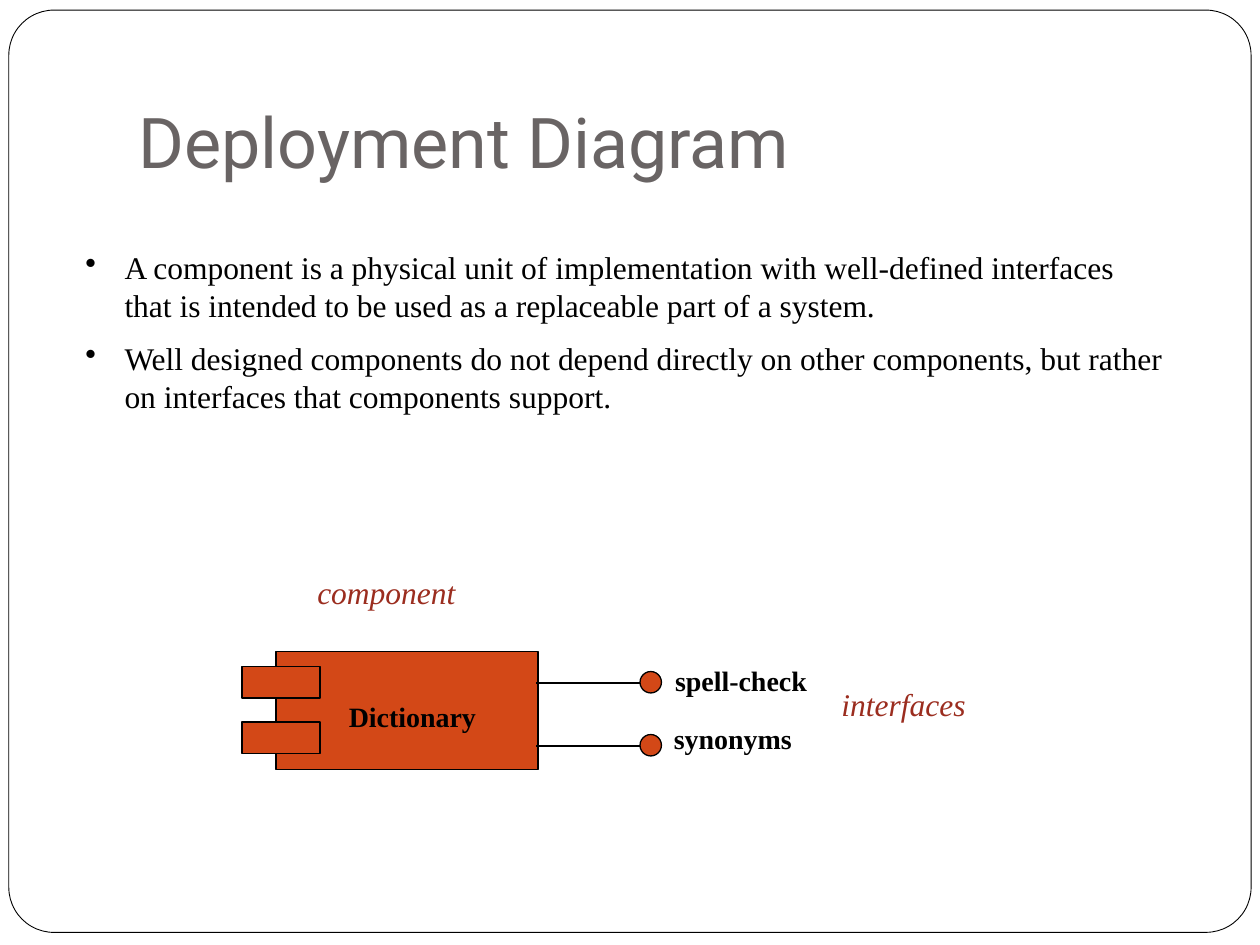
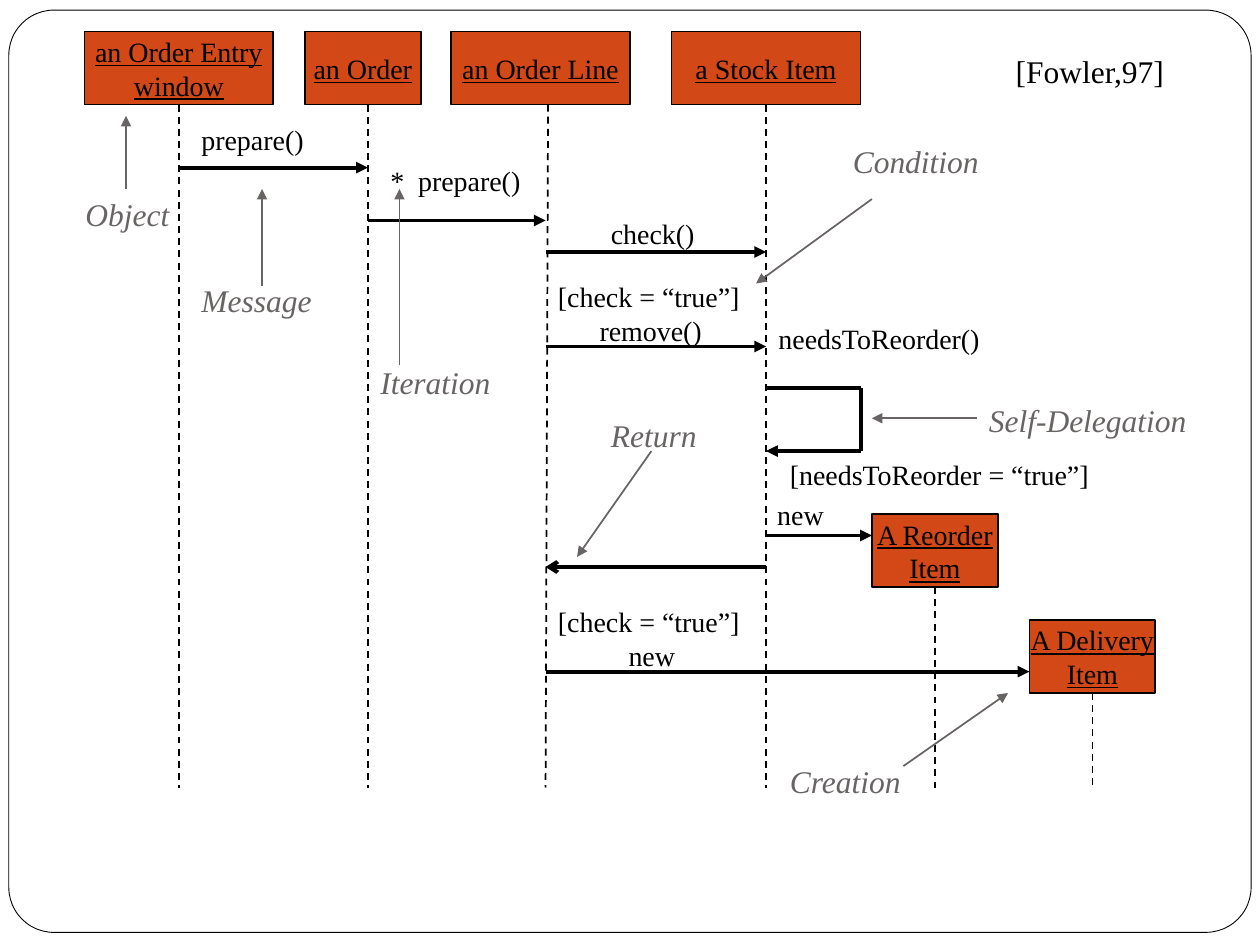
from lxml.etree import SubElement
from pptx import Presentation
from pptx.dml.color import RGBColor
from pptx.enum.dml import MSO_LINE
from pptx.enum.shapes import MSO_CONNECTOR, MSO_SHAPE
from pptx.enum.text import MSO_ANCHOR, MSO_AUTO_SIZE, PP_ALIGN
from pptx.oxml.ns import qn
from pptx.util import Inches, Pt

BLACK, GREY, ORANGE, RED = "000000", "696464", "D34817", "9B2D1F"
SERIF = "Times New Roman"
color = RGBColor.from_string


def add_box(page, kind, left, top, width, height, fill=ORANGE, weight=0.75):
    box = page.shapes.add_shape(kind, Inches(left), Inches(top), Inches(width), Inches(height))
    box.shadow.inherit = False
    if fill:
        box.fill.solid()
        box.fill.fore_color.rgb = color(fill)
    else:
        box.fill.background()
    box.line.color.rgb = color(BLACK)
    box.line.width = Pt(weight)
    return box


def add_line(page, x1, y1, x2, y2, weight, ink=BLACK, head=None):
    line = page.shapes.add_connector(
        MSO_CONNECTOR.STRAIGHT, Inches(x1), Inches(y1), Inches(x2), Inches(y2))
    line.line.color.rgb = color(ink)
    line.line.width = Pt(weight)
    if head:
        SubElement(line.line._get_or_add_ln(), qn("a:tailEnd"), type=head)
    SubElement(line._element.spPr, qn("a:effectLst"))
    return line


deck = Presentation()
deck.slide_width, deck.slide_height = Inches(10), Inches(7.5)
component_page = deck.slides.add_slide(deck.slide_layouts[5])
sequence_page = deck.slides.add_slide(deck.slide_layouts[6])

# Rounded frame on every slide
for page in deck.slides:
    frame = add_box(page, MSO_SHAPE.ROUNDED_RECTANGLE, 0.07, 0.08, 9.86, 7.32, None, 0.5)
    frame.adjustments[0] = 0.049

# Component slide: title
title = component_page.shapes.title
title.left, title.top, title.width, title.height = (
    Inches(1), Inches(0.3), Inches(8.5), Inches(1.25))
title.text_frame.text = "Deployment Diagram"
title.text_frame.auto_size = MSO_AUTO_SIZE.NONE
title.text_frame.vertical_anchor = MSO_ANCHOR.BOTTOM
title.text_frame.margin_bottom = Inches(0.1)
heading = title.text_frame.paragraphs[0]
heading.alignment = PP_ALIGN.LEFT
heading.font.name = "Roboto"
heading.font.size = Pt(40)
heading.font.color.rgb = color(GREY)

# Component slide: bullets
body = component_page.shapes.add_textbox(Inches(0.58), Inches(1.92), Inches(8.75), Inches(1.46))
body.text_frame.word_wrap = True
body.text_frame.text = (
    "A component is a physical unit of implementation with well-defined interfaces "
    "that is intended to be used as a replaceable part of a system.\n"
    "Well designed components do not depend directly on other components, "
    "but rather on interfaces that components support.")
for number, para in enumerate(body.text_frame.paragraphs):
    para.space_before = Pt(9 if number else 0)
    settings = para._p.get_or_add_pPr()
    settings.set("marL", str(Inches(0.31)))
    settings.set("indent", str(-Inches(0.31)))
    SubElement(settings, qn("a:buChar"), char="•")
    para.font.name = SERIF
    para.font.size = Pt(18)
    para.font.color.rgb = color(BLACK)

# Component slide: component with its tabs and interfaces
add_box(component_page, MSO_SHAPE.RECTANGLE, 2.19, 5.17, 2.08, 0.94)
for tab_top in (5.29, 5.73):
    add_box(component_page, MSO_SHAPE.RECTANGLE, 1.92, tab_top, 0.62, 0.25)
for interface_y in (5.42, 5.92):
    add_box(component_page, MSO_SHAPE.OVAL, 5.08, interface_y - 0.09, 0.17, 0.17)
    add_line(component_page, 5.08, interface_y, 4.25, interface_y, 0.75)

# Sequence slide: objects with their lifelines (x at top, x at bottom)
objects = [
    ("an Order Entry\nwindow", 0.67, 0.25, 1.5, 1.42, 1.42),
    ("an Order", 2.42, 0.25, 0.92, 2.92, 2.92),
    ("an Order Line", 3.58, 0.25, 1.42, 4.35, 4.33),
    ("a Stock Item", 5.33, 0.25, 1.5, 6.08, 6.08),
    ("A Reorder\nItem", 6.92, 4.08, 1, 7.42, 7.42),
    ("A Delivery\nItem", 8.17, 4.92, 1, 8.67, 8.67),
]
for name, left, top, width, life_top, life_bottom in objects:
    box = add_box(sequence_page, MSO_SHAPE.RECTANGLE, left, top, width, 0.58, weight=1)
    box.text_frame.word_wrap = False
    box.text_frame.vertical_anchor = MSO_ANCHOR.MIDDLE
    box.text_frame.text = name
    for para in box.text_frame.paragraphs:
        para.alignment = PP_ALIGN.CENTER
        para.font.name = SERIF
        para.font.size = Pt(16)
        para.font.underline = True
        para.font.color.rgb = color(BLACK)
    lifeline = add_line(sequence_page, life_top, top + 0.58, life_bottom, 6.25, 1)
    lifeline.line.dash_style = MSO_LINE.DASH
    if abs(left + width / 2 - life_top) < 0.01:
        lifeline.begin_connect(box, 2)

# Sequence slide: messages
for x1, y1, x2, y2, head in [
    (1.42, 1.33, 2.92, 1.33, "triangle"),
    (2.92, 1.75, 4.33, 1.75, "triangle"),
    (4.33, 2, 6.08, 2, "triangle"),
    (4.33, 2.75, 6.08, 2.75, "triangle"),
    (6.08, 3.08, 6.83, 3.08, None),
    (6.83, 3.08, 6.83, 3.58, None),
    (6.83, 3.58, 6.08, 3.58, "triangle"),
    (6.08, 4.25, 6.92, 4.25, "triangle"),
    (6.08, 4.5, 4.33, 4.5, "arrow"),
    (4.33, 5.33, 8.17, 5.33, "triangle"),
]:
    add_line(sequence_page, x1, y1, x2, y2, 2.25, head=head)

# Sequence slide: pointers from the notes
for x1, y1, x2, y2 in [
    (1, 1.5, 1, 0.92),
    (2.08, 2.27, 2.08, 1.5),
    (3.17, 2.9, 3.17, 1.5),
    (5.17, 3.58, 4.58, 4.42),
    (7.17, 6.08, 8, 5.5),
    (6.92, 1.58, 6, 2.25),
    (7.75, 3.32, 6.92, 3.32),
]:
    add_line(sequence_page, x1, y1, x2, y2, 1, GREY, "triangle")

# Labels of both slides, by style: page, size, colour, bold, italic, wrap, labels
label_styles = [
    (component_page, 16, BLACK, True, False, True, [
        ("spell-check", 5.26, 5.22, 2.17, 0.37),
        ("Dictionary", 2.67, 5.5, 1.42, 0.37),
        ("synonyms", 5.25, 5.68, 2.17, 0.37)]),
    (component_page, 18, RED, False, True, True, [
        ("component", 2.42, 4.5, 2.33, 0.5),
        ("interfaces", 6.58, 5.39, 1.58, 0.5)]),
    (sequence_page, 16, BLACK, False, False, False, [
        ("prepare()", 1.5, 0.92, 1.02, 0.37),
        ("*\tprepare()", 3, 1.25, 1.24, 0.37),
        ("check()", 4.75, 1.67, 0.87, 0.37),
        ("[check = “true”]\nremove()", 4.33, 2.17, 1.65, 0.64),
        ("needsToReorder()", 6.08, 2.5, 1.82, 0.37),
        ("[needsToReorder = “true”]", 6.17, 3.58, 2.6, 0.37),
        ("new", 6.07, 3.9, 0.57, 0.37),
        ("[check = “true”]\nnew", 4.33, 4.75, 1.65, 0.64)]),
    (sequence_page, 18, GREY, False, True, False, [
        ("Object", 0.58, 1.5, 0.87, 0.4),
        ("Message", 1.5, 2.18, 1.08, 0.4),
        ("Iteration", 2.92, 2.83, 1.08, 0.4),
        ("Return", 4.75, 3.25, 0.88, 0.4),
        ("Creation", 6.17, 6, 1.09, 0.4),
        ("Condition", 6.67, 1.08, 1.2, 0.4)]),
    (sequence_page, 18, GREY, False, True, True, [
        ("Self-Delegation", 7.75, 3.13, 1.92, 0.4)]),
    (sequence_page, 18, BLACK, False, False, True, [
        ("[Fowler,97]", 7.76, 0.31, 1.78, 0.5)]),
]
# Left margin and first-line indent of the paragraphs that are set in
indents = {"remove()": (0.33, 0), "new": (0.56, 0), "*\tprepare()": (0.22, -0.22)}
for page, size, ink, bold, italic, wrap, labels in label_styles:
    for text, left, top, width, height in labels:
        label = page.shapes.add_textbox(Inches(left), Inches(top), Inches(width), Inches(height))
        label.text_frame.word_wrap = wrap
        label.text_frame.text = text
        for para in label.text_frame.paragraphs:
            if para.text in indents and text != "new":
                margin, indent = indents[para.text]
                settings = para._p.get_or_add_pPr()
                settings.set("marL", str(Inches(margin)))
                settings.set("indent", str(Inches(indent)))
            para.font.name = SERIF
            para.font.size = Pt(size)
            para.font.bold = bold
            para.font.italic = italic
            para.font.color.rgb = color(ink)
        if text == "[Fowler,97]":
            label.text_frame.vertical_anchor = MSO_ANCHOR.MIDDLE
            label.text_frame.paragraphs[0].alignment = PP_ALIGN.CENTER

deck.save("out.pptx")
